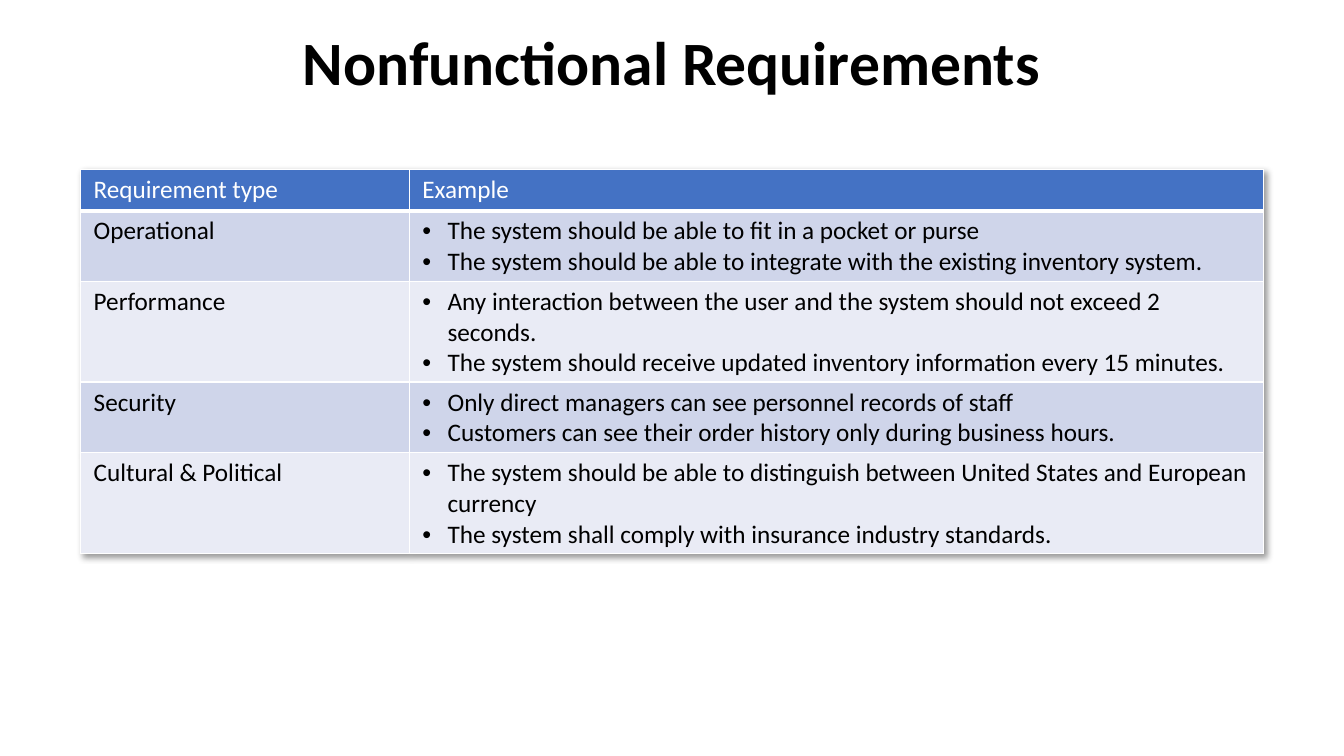
from lxml import etree
from pptx import Presentation
from pptx.dml.color import RGBColor
from pptx.enum.text import MSO_ANCHOR, PP_ALIGN
from pptx.oxml import parse_xml
from pptx.oxml.ns import nsdecls, qn
from pptx.util import Inches, Pt

FONT = "Calibri"
BLACK = RGBColor(0x00, 0x00, 0x00)
WHITE = RGBColor(0xFF, 0xFF, 0xFF)
HEADER_BLUE = RGBColor(0x44, 0x72, 0xC4)
BANDS = (RGBColor(0xCF, 0xD5, 0xEA), RGBColor(0xE9, 0xEB, 0xF5))

# Grid in inches
SLIDE_W, SLIDE_H = 13.33, 7.5
LEFT = 0.06 * SLIDE_W
WIDTH = SLIDE_W - 2 * LEFT
TITLE_TOP, TITLE_H = 0.12, 1.05
TABLE_TOP, ROW_H = 1.68, 0.41
TYPE_COL_W = 3.26
PAD_X, PAD_Y = 0.13, 0.05
BULLET_INDENT = 0.25

HEADINGS = ("Requirement type", "Example")
REQUIREMENTS = (
    ("Operational", (
        "The system should be able to fit in a pocket or purse",
        "The system should be able to integrate with the existing inventory system.")),
    ("Performance", (
        "Any interaction between the user and the system should not exceed 2 seconds.",
        "The system should receive updated inventory information every 15 minutes.")),
    ("Security", (
        "Only direct managers can see personnel records of staff",
        "Customers can see their order history only during business hours.")),
    ("Cultural & Political", (
        "The system should be able to distinguish between United States and European currency",
        "The system shall comply with insurance industry standards.")),
)


def add_run(p, text, size, color, bold=False):
    r = p.add_run()
    r.text = text
    r.font.name = FONT
    r.font.size = Pt(size)
    r.font.bold = bold
    r.font.color.rgb = color


def add_title(slide, text):
    sp = slide.shapes.add_textbox(Inches(LEFT), Inches(TITLE_TOP),
                                  Inches(WIDTH), Inches(TITLE_H))
    tf = sp.text_frame
    tf.word_wrap = True
    tf.vertical_anchor = MSO_ANCHOR.MIDDLE
    p = tf.paragraphs[0]
    p.alignment = PP_ALIGN.CENTER
    p.line_spacing = 0.9
    add_run(p, text, 44, BLACK, bold=True)


def set_bullet(p):
    pPr = p._p.get_or_add_pPr()
    pPr.set("marL", str(Inches(BULLET_INDENT)))
    pPr.set("indent", str(-Inches(BULLET_INDENT)))
    etree.SubElement(pPr, qn("a:buFont")).set("typeface", "Arial")
    etree.SubElement(pPr, qn("a:buChar")).set("char", "•")


def set_borders(cell, bottom):
    tcPr = cell._tc.get_or_add_tcPr()
    for side, width in (("L", 1), ("R", 1), ("T", 1), ("B", bottom)):
        tcPr.append(parse_xml(
            f'<a:ln{side} {nsdecls("a")} w="{Pt(width)}"><a:solidFill>'
            f'<a:srgbClr val="{WHITE}"/></a:solidFill></a:ln{side}>'))


def fill_cell(cell, lines, fill, color, bulleted=False, bottom=1):
    cell.margin_left = cell.margin_right = Inches(PAD_X)
    cell.margin_top = cell.margin_bottom = Inches(PAD_Y)
    set_borders(cell, bottom)
    cell.fill.solid()
    cell.fill.fore_color.rgb = fill
    tf = cell.text_frame
    for i, line in enumerate(lines):
        p = tf.add_paragraph() if i else tf.paragraphs[0]
        if bulleted:
            set_bullet(p)
        add_run(p, line, 18, color)


def add_table_shadow(table):
    table._tbl.tblPr.insert(0, parse_xml(
        f'<a:effectLst {nsdecls("a")}><a:outerShdw blurRad="50800" dist="38100" '
        'dir="2700000" algn="tl" rotWithShape="0"><a:srgbClr val="000000">'
        '<a:alpha val="40000"/></a:srgbClr></a:outerShdw></a:effectLst>'))


def add_requirements_table(slide):
    rows = len(REQUIREMENTS) + 1
    table = slide.shapes.add_table(rows, len(HEADINGS), Inches(LEFT), Inches(TABLE_TOP),
                                   Inches(WIDTH), Inches(ROW_H * rows)).table
    table.columns[0].width = Inches(TYPE_COL_W)
    table.columns[1].width = Inches(WIDTH - TYPE_COL_W)
    add_table_shadow(table)

    # Header row
    for col, heading in enumerate(HEADINGS):
        fill_cell(table.cell(0, col), [heading], HEADER_BLUE, WHITE, bottom=3)

    # Banded body rows
    for i, (kind, examples) in enumerate(REQUIREMENTS):
        band = BANDS[i % 2]
        fill_cell(table.cell(i + 1, 0), [kind], band, BLACK)
        fill_cell(table.cell(i + 1, 1), examples, band, BLACK, bulleted=True)


def main():
    prs = Presentation()
    prs.slide_width, prs.slide_height = Inches(SLIDE_W), Inches(SLIDE_H)
    slide = prs.slides.add_slide(prs.slide_layouts[6])
    add_title(slide, "Nonfunctional Requirements")
    add_requirements_table(slide)
    prs.save("out.pptx")


if __name__ == "__main__":
    main()
